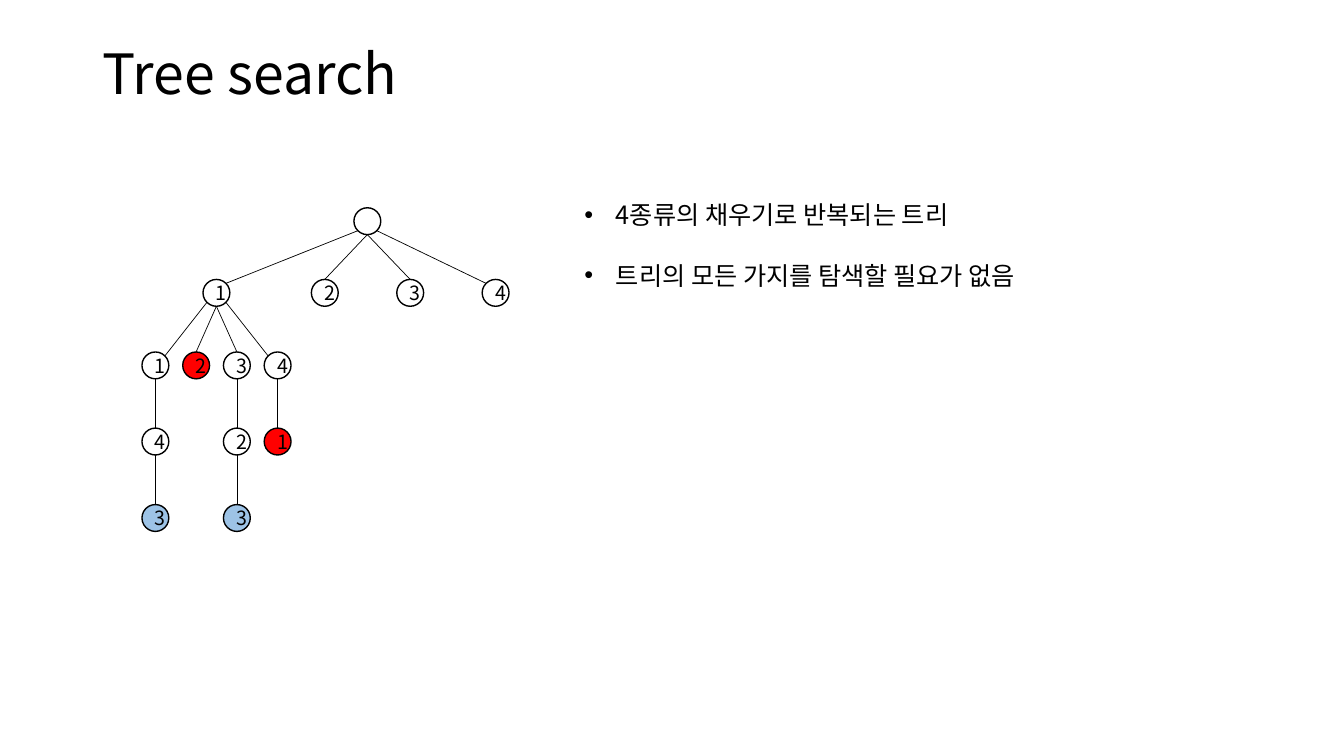
from math import sqrt
from lxml import etree
from pptx import Presentation
from pptx import util as u
from pptx.dml.color import RGBColor
from pptx.enum import shapes, text
from pptx.oxml.ns import qn

# Content
TITLE = "Tree search"
BULLETS = ["4종류의 채우기로 반복되는 트리", "트리의 모든 가지를 탐색할 필요가 없음"]
FONT = "Noto Sans CJK KR"
COLORS = {"ink": "000000", "open": "FFFFFF", "pruned": "FF0000", "solution": "9DC3E6"}

# Tree: name -> (label, level, column x, state, parent)
LEVELS = [158, 209.2, 261, 315.4, 370]
NARROW = [111 + 29.1 * i for i in range(4)]
WIDE = [154.6] + [232 + 61 * i for i in range(3)]
NODES = {
    "root": ("", 0, 262.4, "open", None),
    **{f"{i + 1}": (f"{i + 1}", 1, x, "open", "root") for i, x in enumerate(WIDE)},
    **{f"1{i + 1}": (f"{i + 1}", 2, x, "pruned" if i == 1 else "open", "1")
       for i, x in enumerate(NARROW)},
    "114": ("4", 3, NARROW[0], "open", "11"),
    "132": ("2", 3, NARROW[2], "open", "13"),
    "141": ("1", 3, NARROW[3], "pruned", "14"),
    "1143": ("3", 4, NARROW[0], "solution", "114"),
    "1323": ("3", 4, NARROW[2], "solution", "132"),
}
RADIUS = 9.6
DIAGONAL = RADIUS / sqrt(2)


def color(name):
    return RGBColor.from_string(COLORS[name])


def add_run(paragraph, content, size):
    run = paragraph.add_run()
    run.text = content
    run.font.size = u.Pt(size)
    run.font.name = FONT
    run.font.color.rgb = color("ink")
    etree.SubElement(run.font._element, qn("a:ea")).set("typeface", FONT)


def add_branch(start, end):
    line = slide.shapes.add_connector(
        shapes.MSO_CONNECTOR.STRAIGHT, *(u.Pt(value) for value in start + end))
    line.line.color.rgb = color("ink")
    line.line.width = u.Pt(0.5)
    etree.SubElement(line._element.spPr, qn("a:effectLst"))


presentation = Presentation()
presentation.slide_width, presentation.slide_height = u.Pt(960), u.Pt(540)
slide = presentation.slides.add_slide(presentation.slide_layouts[5])

# Title
title = slide.shapes.title
title.left, title.top, title.width, title.height = (u.Pt(v) for v in (66, 28.8, 828, 51.8))
title.text_frame.auto_size = text.MSO_AUTO_SIZE.NONE
title.text_frame.vertical_anchor = text.MSO_ANCHOR.MIDDLE
heading = title.text_frame.paragraphs[0]
heading.alignment = text.PP_ALIGN.LEFT
heading.line_spacing = 0.9
add_run(heading, TITLE, 39.6)

# Branches: outer children join on the diagonals, the others bottom to top
for name, (label, level, x, state, parent) in NODES.items():
    if parent is None:
        continue
    parent_level, parent_x = NODES[parent][1:3]
    siblings = [node[2] for node in NODES.values() if node[4] == parent]
    side = 0
    if len(siblings) > 1 and x in (min(siblings), max(siblings)):
        side = -1 if x == min(siblings) else 1
    drop = DIAGONAL if side else RADIUS
    add_branch((parent_x + side * DIAGONAL, LEVELS[parent_level] + drop),
               (x - side * DIAGONAL, LEVELS[level] - drop))

# Nodes
for label, level, x, state, parent in NODES.values():
    circle = slide.shapes.add_shape(
        shapes.MSO_SHAPE.OVAL, u.Pt(x - RADIUS), u.Pt(LEVELS[level] - RADIUS),
        u.Pt(2 * RADIUS), u.Pt(2 * RADIUS))
    circle.shadow.inherit = False
    circle.fill.solid()
    circle.fill.fore_color.rgb = color(state)
    circle.line.color.rgb = color("ink")
    circle.line.width = u.Pt(1)
    if label:
        paragraph = circle.text_frame.paragraphs[0]
        paragraph.alignment = text.PP_ALIGN.CENTER
        add_run(paragraph, label, 14)

# Bullets
box = slide.shapes.add_textbox(u.Pt(410.4), u.Pt(117.4), u.Pt(470.2), u.Pt(94.3))
frame = box.text_frame
frame.word_wrap = True
for i, bullet in enumerate(BULLETS):
    paragraph = frame.add_paragraph() if i else frame.paragraphs[0]
    paragraph.line_spacing = 2.0
    properties = paragraph._p.get_or_add_pPr()
    properties.set("marL", str(u.Pt(22.5)))
    properties.set("indent", str(-u.Pt(22.5)))
    etree.SubElement(properties, qn("a:buFont")).set("typeface", "Arial")
    etree.SubElement(properties, qn("a:buChar")).set("char", "•")
    add_run(paragraph, bullet, 18)

presentation.save("out.pptx")
